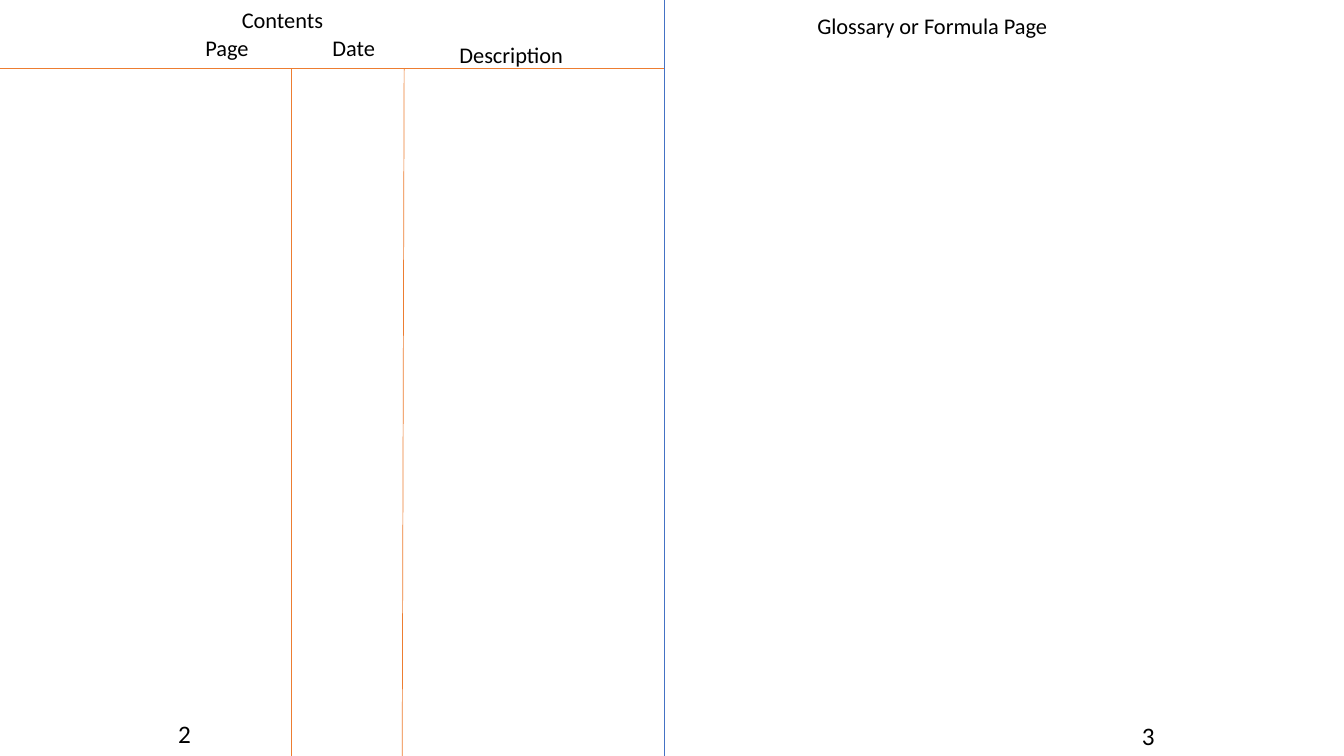
from lxml import etree
from pptx import Presentation
from pptx import util as u
from pptx.dml.color import RGBColor
from pptx.enum import shapes, text
from pptx.oxml.ns import qn

W, H = 960, 540
FOLD, HEAD = 474.5, 49
BLUE, ORANGE, BLACK = "4472C4", "ED7D31", "000000"

RULES = [
    (FOLD, 0, FOLD, H, BLUE),
    (0, HEAD, FOLD, HEAD, ORANGE),
    (208.1, HEAD, 208.1, H, ORANGE),
    (288.7, HEAD, 287.3, H, ORANGE),
]
HEADINGS = [
    ("Contents", 165.6, 0.7, 73.4, False),
    ("Page", 139.7, 20.9, 46.1, False),
    ("Date", 230.4, 20.9, 45.4, False),
    ("Description", 321.1, 25.9, 110.2, True),
    ("Glossary or Formula Page", 576.7, 5, 203.8, True),
]
PAGE_NUMBERS = [
    ("2", 120.2, 509.8, 23.8, False),
    ("3", 808.6, 511.2, 43.2, True),
]


def color(value):
    return RGBColor.from_string(value)


def add_rule(s, x1, y1, x2, y2, line):
    sp = s.shapes.add_connector(
        shapes.MSO_CONNECTOR.STRAIGHT, u.Pt(x1), u.Pt(y1), u.Pt(x2), u.Pt(y2))
    sp.line.color.rgb = color(line)
    sp.line.width = u.Pt(0.5)
    etree.SubElement(sp.line._get_or_add_ln().getparent(), qn("a:effectLst"))


def add_text(s, words, x, y, w, wrap, size=16, height=26.6, fill=BLACK, font="Calibri"):
    sp = s.shapes.add_textbox(u.Pt(x), u.Pt(y), u.Pt(w), u.Pt(height))
    tf = sp.text_frame
    tf.word_wrap = wrap
    tf.auto_size = text.MSO_AUTO_SIZE.SHAPE_TO_FIT_TEXT
    r = tf.paragraphs[0].add_run()
    r.text = words
    r.font.name = font
    r.font.size = u.Pt(size)
    r.font.color.rgb = color(fill)


def main():
    prs = Presentation()
    prs.slide_width, prs.slide_height = u.Pt(W), u.Pt(H)
    s = prs.slides.add_slide(prs.slide_layouts[6])
    for rule in RULES:
        add_rule(s, *rule)
    for heading in HEADINGS:
        add_text(s, *heading)
    for number in PAGE_NUMBERS:
        add_text(s, *number, size=18, height=29.1)
    prs.save("out.pptx")


if __name__ == "__main__":
    main()
